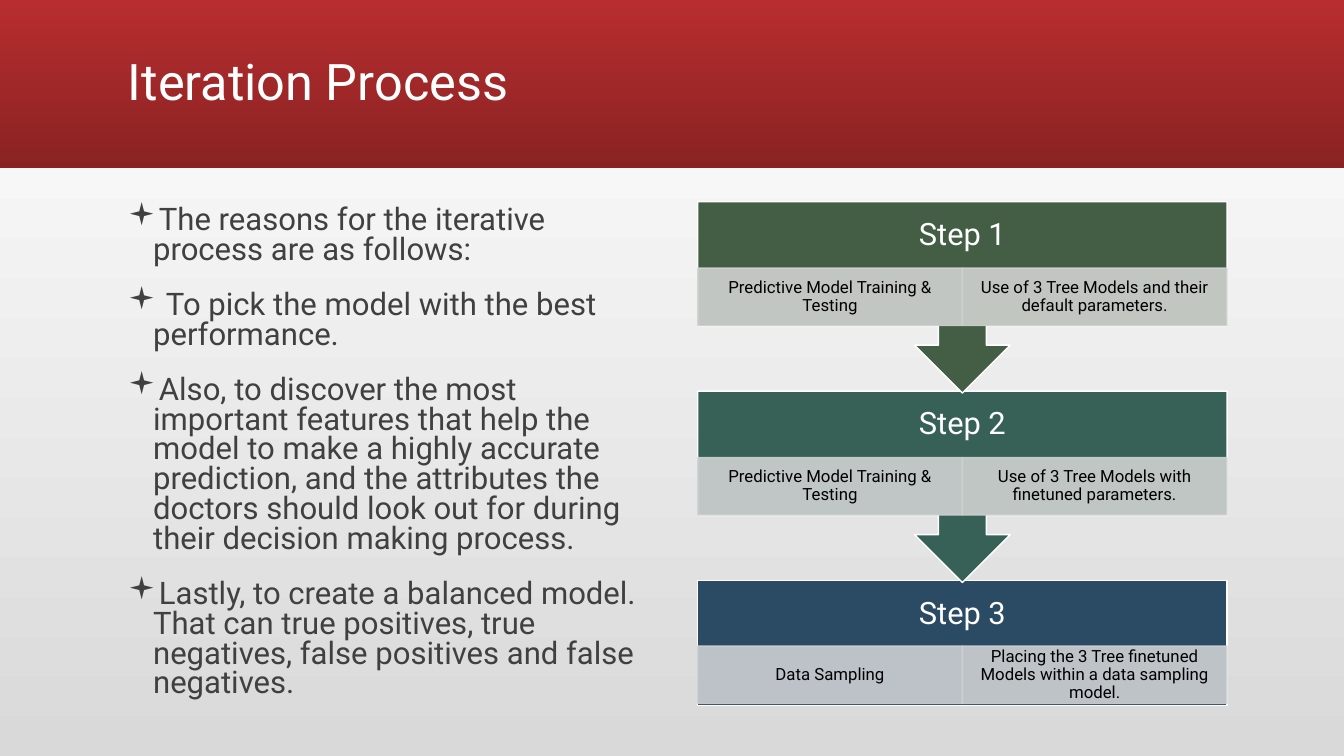
from pptx import Presentation
from pptx.dml.color import RGBColor
from pptx.enum.shapes import MSO_SHAPE as Shape
from pptx.enum.text import MSO_ANCHOR as Anchor, PP_ALIGN as Align
from pptx.oxml.ns import qn
from pptx.util import Inches, Pt
from lxml.etree import SubElement

FONT = "Roboto"
COLORS = {
    "white": "FFFFFF", "black": "000000", "body": "404040", "page_low": "D9D9D9",
    "band_top": "B82D2F", "band_bottom": "8A2223",
    "green": "445E45", "teal": "376156", "navy": "2B4A63",
    "green_left": "CFD2D0", "green_right": "CFD2CF",
    "teal_left": "CED2D2", "teal_right": "CED2D1",
    "navy_left": "CDD0D3", "navy_right": "CED1D3",
}
REASONS = [
    "The reasons for the iterative process are as follows:",
    " To pick the model with the best performance.",
    "Also, to discover the most important features that help the model to make a "
    "highly accurate prediction, and the attributes the doctors should look out for "
    "during their decision making process.",
    "Lastly, to create a balanced model. That can true positives, true negatives, "
    "false positives and false negatives.",
]
STEPS = [
    ("Step 1", "green", ["Predictive Model Training & Testing",
                         "Use of 3 Tree Models and their default parameters."]),
    ("Step 2", "teal", ["Predictive Model Training & Testing",
                        "Use of 3 Tree Models with finetuned parameters."]),
    ("Step 3", "navy", ["Data Sampling",
                        "Placing the 3 Tree finetuned Models within a data sampling model."]),
]


def color(name):
    """Return the named palette colour."""
    return RGBColor.from_string(COLORS[name])


def fill_gradient(fill, start, end, angle):
    """Give a fill two gradient stops at a counterclockwise angle."""
    fill.gradient()
    fill.gradient_angle = angle
    for stop, name in zip(fill.gradient_stops, (start, end)):
        stop.color.rgb = color(name)


def add_block(page, kind, box, fill, line):
    """Add a flat filled shape with a one-point outline."""
    block = page.shapes.add_shape(kind, *map(Inches, box))
    block.shadow.inherit = False
    block.fill.solid()
    block.fill.fore_color.rgb = color(fill)
    block.line.color.rgb = color(line)
    block.line.width = Pt(1)
    return block


def add_textbox(page, box):
    """Add an empty wrapping text box and return its frame."""
    frame = page.shapes.add_textbox(*map(Inches, box)).text_frame
    frame.word_wrap = True
    return frame


def style(para, size, font_color, spacing):
    """Set the font and line spacing of a paragraph."""
    para.font.name = FONT
    para.font.size = Pt(size)
    para.font.color.rgb = color(font_color)
    para.line_spacing = spacing


def set_margins(frame, side, end):
    """Set the horizontal and vertical insets of a text frame."""
    frame.margin_left = frame.margin_right = Inches(side)
    frame.margin_top = frame.margin_bottom = Inches(end)


def add_title(page, box):
    """Draw the red band and the title within it."""
    left, top, width, height = box
    band = page.shapes.add_shape(Shape.RECTANGLE, *map(Inches, box))
    band.shadow.inherit = False
    band.line.fill.background()
    fill_gradient(band.fill, "band_top", "band_bottom", 270)
    frame = add_textbox(page, (left + 1.17, top + 0.11, width - 2.33, height - 0.22))
    frame.vertical_anchor = Anchor.MIDDLE
    frame.text = "Iteration Process"
    style(frame.paragraphs[0], 36, "white", 0.9)


def add_reasons(page, box):
    """Write the bulleted reasons."""
    frame = add_textbox(page, box)
    frame.text = "\n".join(REASONS)
    for para in frame.paragraphs:
        style(para, 22.2, "body", 0.8)
        para.space_before = Pt(18)
        properties = para._p.get_or_add_pPr()
        properties.set("marL", str(Inches(0.25)))
        properties.set("indent", str(-Inches(0.25)))
        SubElement(properties, qn("a:buFont"), typeface="Wingdings")
        SubElement(properties, qn("a:buChar"), char="▪")


def add_detail(page, box, text, fill):
    """Draw one translucent detail cell of a step."""
    cell = add_block(page, Shape.RECTANGLE, box, fill, fill)
    for tint in cell._element.spPr.iter(qn("a:srgbClr")):
        SubElement(tint, qn("a:alpha"), val="90000")
    frame = cell.text_frame
    frame.word_wrap = True
    frame.vertical_anchor = Anchor.MIDDLE
    set_margins(frame, 0.09, 0.02)
    frame.text = text
    para = frame.paragraphs[0]
    para.alignment = Align.CENTER
    style(para, 12, "black", 0.9)


def add_step(page, box, step, is_last):
    """Draw a step: its block, heading and two detail cells."""
    left, top, width, height = box
    heading, fill, details = step
    kind = Shape.RECTANGLE if is_last else Shape.DOWN_ARROW_CALLOUT
    add_block(page, kind, box, fill, "white")
    frame = add_textbox(page, (left, top, width, 0.67))
    frame.vertical_anchor = Anchor.MIDDLE
    set_margins(frame, 0.17, 0.17)
    frame.text = heading
    para = frame.paragraphs[0]
    para.alignment = Align.CENTER
    style(para, 22, "white", 0.9)
    detail_top = top + (0.65 if is_last else 0.66)
    for column, (text, side) in enumerate(zip(details, ("left", "right"))):
        cell_box = (left + column * width / 2, detail_top, width / 2, 0.57)
        add_detail(page, cell_box, text, f"{fill}_{side}")


def add_process(page, box):
    """Stack the steps from the last to the first so the arrows lie on top."""
    left, top, width, height = box
    pitch = 1.88
    last = len(STEPS) - 1
    for index in range(last, -1, -1):
        step_height = height - last * pitch if index == last else 1.9
        step_box = (left, top + index * pitch, width, step_height)
        add_step(page, step_box, STEPS[index], index == last)


def main():
    """Build and save the deck."""
    deck = Presentation()
    deck.slide_width, deck.slide_height = Inches(13.33), Inches(7.5)
    page = deck.slides.add_slide(deck.slide_layouts[6])
    fill_gradient(page.background.fill, "page_low", "white", 90)
    add_title(page, (0, 0, 13.33, 1.67))
    add_reasons(page, (1.17, 2, 5.25, 5))
    add_process(page, (6.92, 2, 5.25, 5))
    deck.save("out.pptx")


if __name__ == "__main__":
    main()
